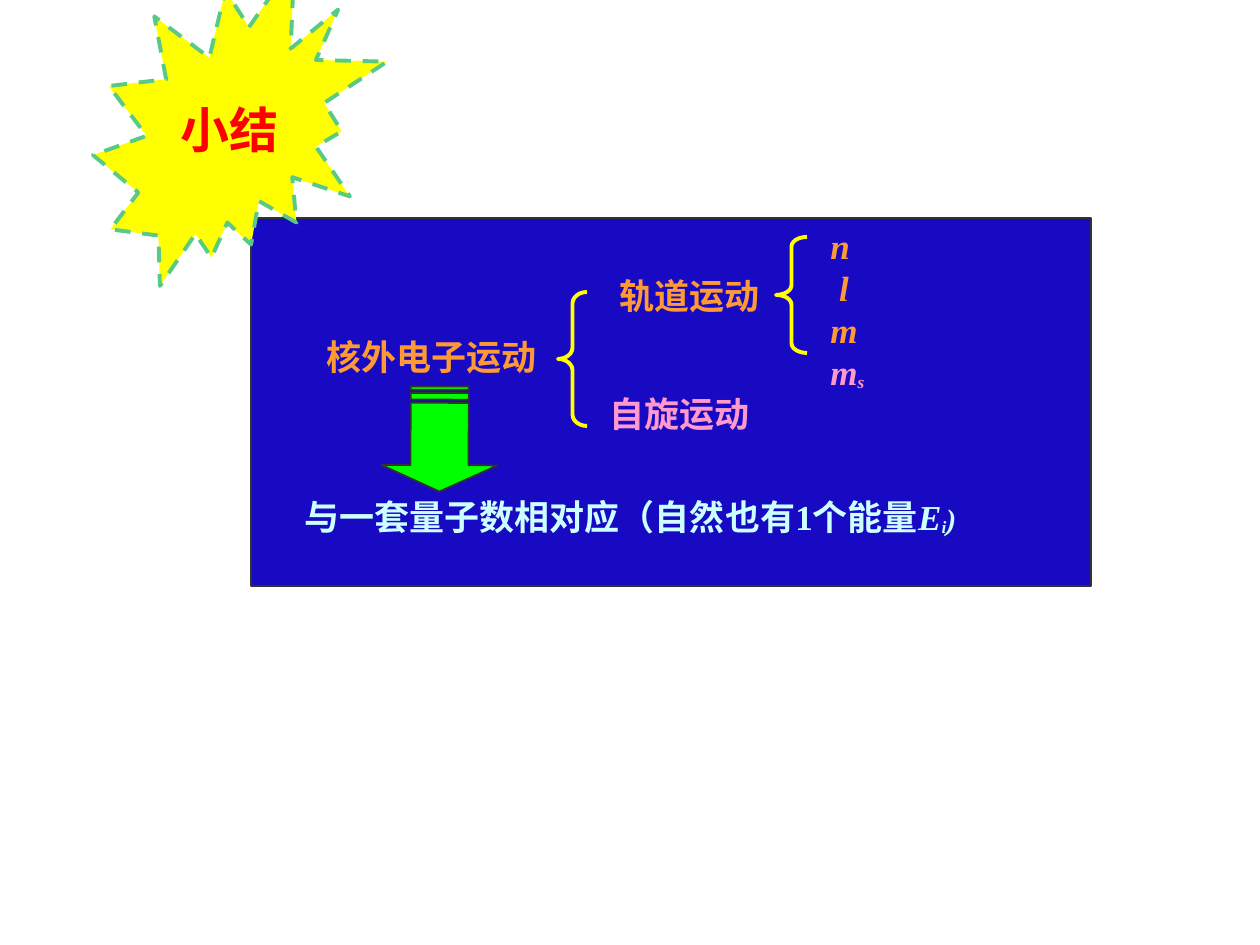
"""Build the summary slide on electron motion and quantum numbers."""
from pptx import Presentation
from pptx.dml.color import RGBColor
from pptx.enum.dml import MSO_LINE
from pptx.enum.shapes import MSO_SHAPE as Shape
from pptx.enum.text import MSO_ANCHOR as Anchor, PP_ALIGN as Align
from pptx.util import Pt

PX = 914400 / 126
ORANGE, PINK, PALE = "FF9933", "FF99CC", "CCFFFF"

presentation = Presentation()
presentation.slide_width = round(1260 * PX)
presentation.slide_height = round(945 * PX)
slide = presentation.slides.add_slide(presentation.slide_layouts[6])


def add_shape(kind, box, fill, line, width):
    shape = slide.shapes.add_shape(kind, *[round(value * PX) for value in box])
    shape.shadow.inherit = False
    if fill:
        shape.fill.solid()
        shape.fill.fore_color.rgb = RGBColor.from_string(fill)
    else:
        shape.fill.background()
    shape.line.color.rgb = RGBColor.from_string(line)
    shape.line.width = Pt(width)
    return shape


def add_run(paragraph, text, color, size=20, italic=False, baseline=0):
    run = paragraph.add_run()
    run.text = text
    run.font.name = "Times New Roman"
    run.font.size = Pt(size)
    run.font.bold = True
    run.font.italic = italic
    run.font.color.rgb = RGBColor.from_string(color)
    if baseline:
        run.font._element.set("baseline", str(baseline))


add_shape(Shape.RECTANGLE, (251, 218, 840, 368), "170AC2", "333333", 1)

for box, curve in (((558, 292, 29, 134), 0.39), ((776, 237, 31, 116), 0.31)):
    brace = add_shape(Shape.LEFT_BRACE, box, None, "FFFF00", 2.25)
    brace.adjustments[0] = curve

arrow = add_shape(Shape.STRIPED_RIGHT_ARROW, (387, 381, 105, 116), "00FF00", "333333", 1)
arrow.rotation = 90.2
arrow.adjustments[0] = 0.5
arrow.adjustments[1] = 0.25

labels = [
    ((314, 329, 252, 55), True, [[("核外电子运动", ORANGE)]]),
    ((607, 268, 168, 57), True, [[("轨道运动", ORANGE)]]),
    ((597, 386, 305, 57), True, [[("自旋运动", PINK)]]),
    ((292, 489, 702, 55), False, [[
        ("与一套量子数相对应（自然也有1个能量", PALE),
        ("E", PALE, 20, True),
        ("i", PALE, 17, True, -12000),
        (")", PALE, 17, True),
    ]]),
    ((818, 218, 63, 181), True, [
        [("n", ORANGE, 20, True)],
        [(" l", ORANGE, 20, True)],
        [("m", ORANGE, 20, True)],
        [("m", PINK, 20, True), ("s", PINK, 17, True, -12000)],
    ]),
]
for box, wrap, lines in labels:
    label = slide.shapes.add_textbox(*[round(value * PX) for value in box])
    frame = label.text_frame
    frame.word_wrap = wrap
    for index, runs in enumerate(lines):
        paragraph = frame.add_paragraph() if index else frame.paragraphs[0]
        for run in runs:
            add_run(paragraph, *run)

burst = add_shape(Shape.EXPLOSION2, (93, -38, 294, 324), "FFFF00", "58CA86", 2.25)
burst.line.dash_style = MSO_LINE.DASH
burst.text_frame.word_wrap = True
burst.text_frame.vertical_anchor = Anchor.MIDDLE
heading = burst.text_frame.paragraphs[0]
heading.alignment = Align.CENTER
add_run(heading, "小结", "FF0000", 28)

presentation.save("out.pptx")
